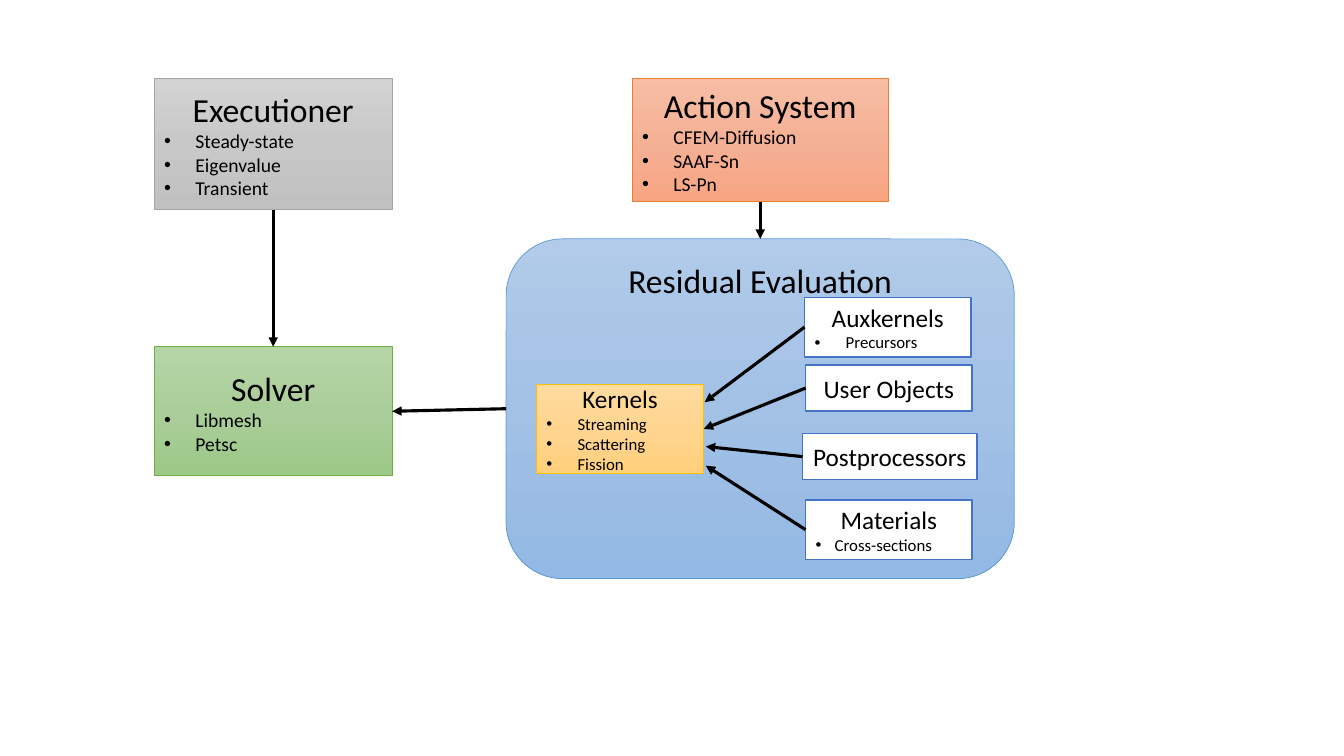
from copy import deepcopy
from dataclasses import dataclass
from typing import Optional

from pptx import Presentation
from pptx.dml.color import RGBColor
from pptx.enum.shapes import MSO_CONNECTOR, MSO_SHAPE
from pptx.enum.text import MSO_ANCHOR as Anchor, PP_ALIGN as Align
from pptx.oxml.ns import qn
from pptx.oxml.xmlchemy import OxmlElement
from pptx.shapes.autoshape import Shape
from pptx.shapes.connector import Connector
from pptx.slide import Slide
from pptx.text.text import _Paragraph as Paragraph
from pptx.util import Emu, Pt

EMU_PER_PX = 9144  # 100 px to the inch
FONT = "Calibri"
BLACK = "000000"
TOP, LEFT, BOTTOM, RIGHT = range(4)


@dataclass(frozen=True)
class Block:
    title: str
    left: int
    top: int
    width: int
    height: int
    line: str = "4472C4"
    line_points: float = 1
    fills: tuple[str, ...] = ("FFFFFF",)
    title_size: int = 18
    bullets: tuple[str, ...] = ()
    bullet_size: int = 12
    indent: int = 31
    container: bool = False


@dataclass(frozen=True)
class Arrow:
    source: str
    source_side: int
    target: Optional[str] = None
    target_side: int = LEFT
    tip: tuple[int, int] = (0, 0)  # used when there is no target


BLOCKS = (
    Block("Executioner", 153, 78, 236, 130, "A5A5A5", 0.5, ("D2D2D2", "C8C8C8", "C0C0C0"),
          24, ("Steady-state", "Eigenvalue", "Transient"), 14),
    Block("Solver", 153, 344, 236, 128, "70AD47", 0.5, ("B5D5A7", "AACE9A", "9CC987"),
          24, ("Libmesh", "Petsc"), 14),
    Block("Action System", 627, 78, 254, 122, "ED7D31", 0.5, ("F7BDA5", "F5B196", "F8A582"),
          24, ("CFEM-Diffusion", "SAAF-Sn", "LS-Pn"), 14),
    Block("Residual Evaluation", 502, 237, 504, 337, "5B9BD5", 0.5,
          ("B1CBE9", "A3C1E5", "93B9E4"), 24, container=True),
    Block("Kernels", 532, 381, 166, 89, "FFC000", 0.5, ("FFDB9E", "FFD590", "FFD07C"),
          bullets=("Streaming", "Scattering", "Fission")),
    Block("Auxkernels", 798, 295, 165, 59, bullets=("Precursors",)),
    Block("User Objects", 799, 362, 165, 46),
    Block("Postprocessors", 796, 430, 173, 46),
    Block("Materials", 799, 496, 165, 59, bullets=("Cross-sections",), indent=19),
)

ARROWS = (
    Arrow("Executioner", BOTTOM, "Solver", TOP),
    Arrow("Action System", BOTTOM, "Residual Evaluation", TOP),
    Arrow("Residual Evaluation", LEFT, "Solver", RIGHT),
    Arrow("Auxkernels", LEFT, tip=(699, 399)),
    Arrow("User Objects", LEFT, "Kernels", RIGHT),
    Arrow("Postprocessors", LEFT, tip=(700, 443)),
    Arrow("Materials", LEFT, tip=(700, 462)),
)


def px(length: int) -> Emu:
    return Emu(length * EMU_PER_PX)


def color(value: str) -> RGBColor:
    return RGBColor.from_string(value)


def paint(box: Shape, fills: tuple[str, ...]) -> None:
    """Fill with one colour, or with evenly spaced stops from top to bottom."""
    if len(fills) == 1:
        box.fill.solid()
        box.fill.fore_color.rgb = color(fills[0])
        return
    box.fill.gradient()
    box.fill.gradient_angle = 270
    stop_list = box.element.spPr.find(".//" + qn("a:gsLst"))
    while len(stop_list) < len(fills):
        stop_list.append(deepcopy(stop_list[0]))
    for index, (stop, value) in enumerate(zip(box.fill.gradient_stops, fills)):
        stop.color.rgb = color(value)
        stop.position = index / (len(fills) - 1)


def write(para: Paragraph, text: str, size: int) -> None:
    span = para.add_run()
    span.text = text
    span.font.name = FONT
    span.font.size = Pt(size)
    span.font.color.rgb = color(BLACK)


def add_bullet(para: Paragraph, indent: int) -> None:
    para.alignment = Align.LEFT
    properties = para._p.get_or_add_pPr()
    properties.set("marL", str(px(indent)))
    properties.set("indent", str(-px(indent)))
    typeface = OxmlElement("a:buFont")
    typeface.set("typeface", "Arial")
    mark = OxmlElement("a:buChar")
    mark.set("char", "•")
    properties.extend((typeface, mark))


def add_block(page: Slide, block: Block) -> Shape:
    preset = MSO_SHAPE.ROUNDED_RECTANGLE if block.container else MSO_SHAPE.RECTANGLE
    box = page.shapes.add_shape(
        preset, px(block.left), px(block.top), px(block.width), px(block.height))
    box.shadow.inherit = False
    paint(box, block.fills)
    box.line.color.rgb = color(block.line)
    box.line.width = Pt(block.line_points)

    frame = box.text_frame
    frame.word_wrap = bool(block.bullets)
    frame.vertical_anchor = Anchor.TOP if block.container else Anchor.MIDDLE
    heading = frame.paragraphs[0]
    heading.alignment = Align.CENTER
    write(heading, block.title, block.title_size)
    for text in block.bullets:
        para = frame.add_paragraph()
        add_bullet(para, block.indent)
        write(para, text, block.bullet_size)
    return box


def add_arrow(page: Slide, arrow: Arrow, boxes: dict[str, Shape]) -> Connector:
    tip_x, tip_y = map(px, arrow.tip)
    connector = page.shapes.add_connector(MSO_CONNECTOR.STRAIGHT, tip_x, tip_y, tip_x, tip_y)
    connector.begin_connect(boxes[arrow.source], arrow.source_side)
    if arrow.target:
        connector.end_connect(boxes[arrow.target], arrow.target_side)
    connector.line.color.rgb = color(BLACK)
    connector.line.width = Pt(2.25)
    head = OxmlElement("a:tailEnd")
    head.set("type", "triangle")
    connector.line._get_or_add_ln().append(head)
    connector._element.spPr.append(OxmlElement("a:effectLst"))
    return connector


def main() -> None:
    deck = Presentation()
    deck.slide_width, deck.slide_height = px(1333), px(750)
    page = deck.slides.add_slide(deck.slide_layouts[6])

    # Blocks, the container before its contents
    boxes = {block.title: add_block(page, block) for block in BLOCKS}

    # Flow between the blocks
    for arrow in ARROWS:
        add_arrow(page, arrow, boxes)

    deck.save("out.pptx")


if __name__ == "__main__":
    main()
